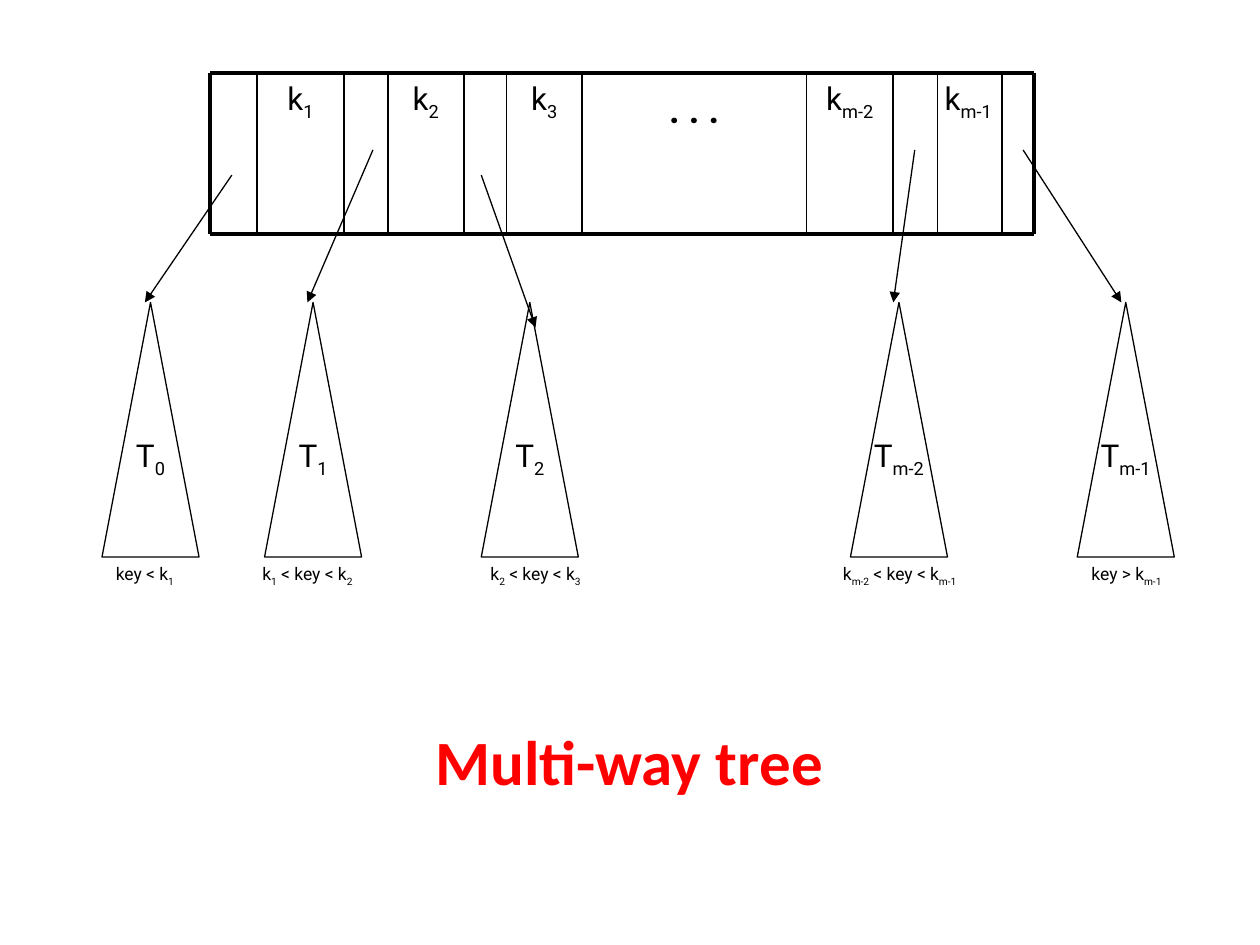
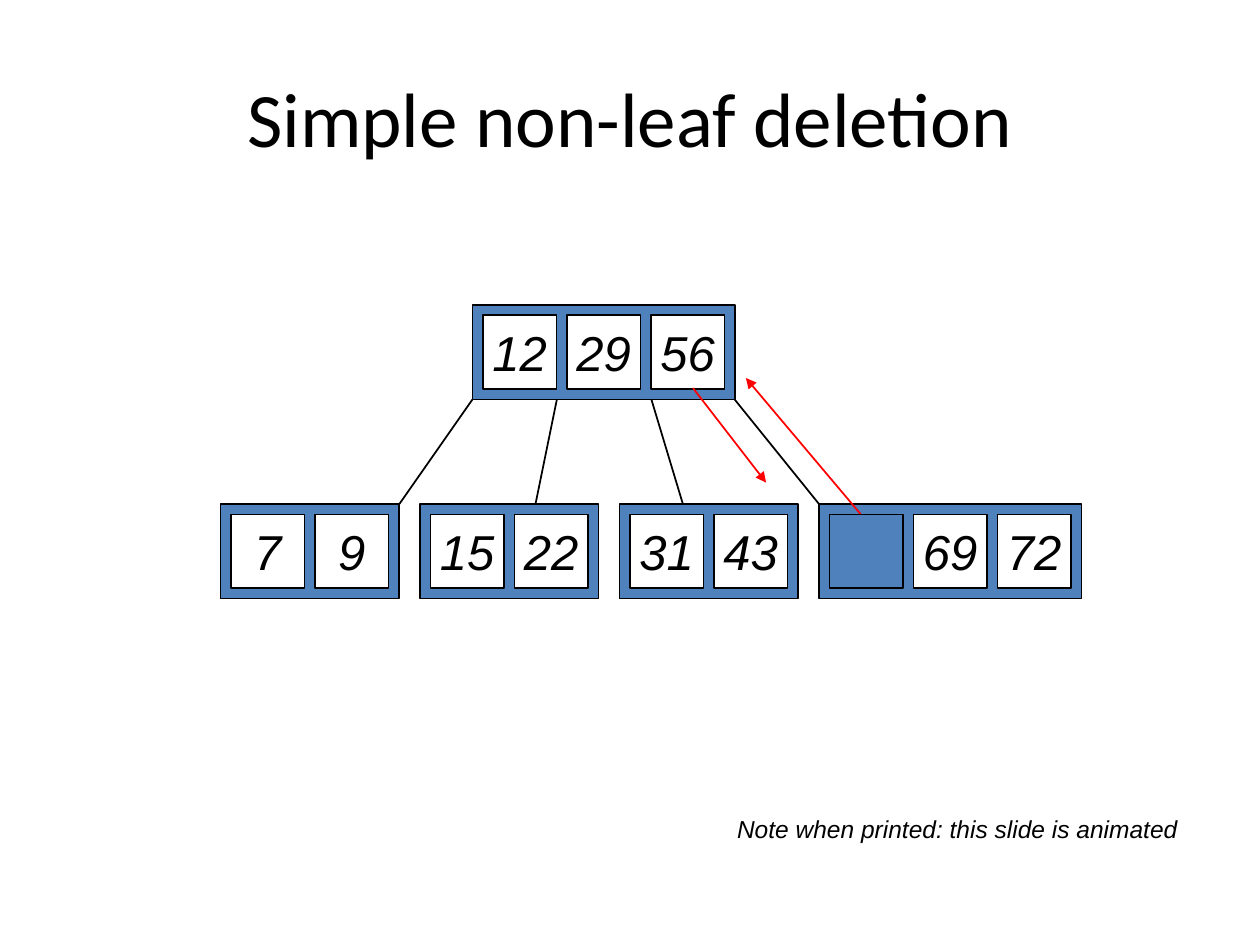
from dataclasses import dataclass
from itertools import accumulate
from typing import NamedTuple

from lxml.etree import SubElement
from pptx import Presentation
from pptx.dml.color import RGBColor
from pptx.enum.shapes import MSO_CONNECTOR, MSO_SHAPE
from pptx.enum.text import MSO_ANCHOR, PP_ALIGN
from pptx.oxml.ns import qn
from pptx.util import Inches, Pt


@dataclass(frozen=True)
class Theme:
    black: str = "000000"
    white: str = "FFFFFF"
    red: str = "FF0000"
    blue: str = "4F81BD"
    title_font: str = "Calibri"
    tree_font: str = "Roboto"
    node_font: str = "Arial"
    title_size: int = 44
    large_size: int = 36
    node_size: int = 28
    label_size: int = 18
    note_size: int = 14
    caption_size: int = 10
    thick_line: float = 2.25
    medium_line: float = 1
    thin_line: float = 0.75


class Subtree(NamedTuple):
    name: str
    left: float
    arrow_start: tuple
    arrow_end: tuple
    caption: str
    caption_left: float
    caption_width: float


THEME = Theme()

# Record on the first slide
RECORD_TOP, RECORD_BOTTOM = 0.58, 1.86
RECORD_EDGES = (1.67, 2.04, 2.73, 3.08, 3.68, 4.02, 4.62, 6.4, 7.09, 7.44, 7.95, 8.21)
KEY_CELLS = {1: "k|1|", 3: "k|2|", 5: "k|3|", 7: "k|m-2|"}
DOTS_CELL = 6
TREE_TOP, TREE_WIDTH, TREE_HEIGHT = 2.4, 0.77, 2.02
SUBTREES = (
    Subtree("T|0|", 0.81, (1.84, 1.39), (1.15, 2.4), "key < k|1|", 0.55, 1.2),
    Subtree("T|1|", 2.1, (2.96, 1.19), (2.44, 2.4), "k|1| < key < k|2|", 1.84, 1.2),
    Subtree("T|2|", 3.82, (3.82, 1.39), (4.25, 2.6), "k|2| < key < k|3|", 3.65, 1.2),
    Subtree("T|m-2|", 6.75, (7.26, 1.19), (7.09, 2.4),
            "k|m-2| < key < k|m-1|", 6.32, 1.64),
    Subtree("T|m-1|", 8.55, (8.12, 1.19), (8.9, 2.4), "key > k|m-1|", 8.38, 1.12),
)

# Nodes on the second slide
CELL, GAP = 7 / 12, 1 / 12
NODE_HEIGHT = CELL + 2 * GAP
ROOT_LEFT, ROOT_TOP = 3.75, 2.42
LEAVES_LEFT, LEAVES_TOP = 1.75, 4
LEAVES = ((7, 9), (15, 22), (31, 43), (None, 69, 72))
BRANCHES = ((3.75, 3.17), (4.42, 4.25), (5.17, 5.42), (5.83, 6.5))


def write_text(frame, text, font=THEME.tree_font, size=THEME.label_size,
               color=THEME.black, bold=False, italic=False, baseline=0,
               anchor=MSO_ANCHOR.TOP, wrap=True):
    """Write one centred paragraph; parts between bars become subscripts."""
    frame.word_wrap = wrap
    frame.vertical_anchor = anchor
    paragraph = frame.paragraphs[0]
    paragraph.alignment = PP_ALIGN.CENTER
    for index, part in enumerate(text.split("|")):
        if not part:
            continue
        run = paragraph.add_run()
        run.text = part
        run.font.name = font
        run.font.size = Pt(size)
        run.font.bold = bold
        run.font.italic = italic
        run.font.color.rgb = RGBColor.from_string(color)
        shift = -25 if index % 2 else baseline
        if shift:
            run.font._element.set("baseline", str(shift * 1000))


def node_width(key_count):
    return key_count * (CELL + GAP) + GAP


class Deck:
    def __init__(self, theme):
        self.theme = theme
        self.presentation = Presentation()
        self.presentation.slide_width = Inches(10)
        self.presentation.slide_height = Inches(7.5)
        self.slide = None

    def new_slide(self):
        self.slide = self.presentation.slides.add_slide(
            self.presentation.slide_layouts[6])

    def text(self, text, left, top, width, height, **text_format):
        box = self.slide.shapes.add_textbox(
            Inches(left), Inches(top), Inches(width), Inches(height))
        write_text(box.text_frame, text, **text_format)

    def shape(self, kind, left, top, width, height, fill=None, line_width=None,
              text="", **text_format):
        shape = self.slide.shapes.add_shape(
            kind, Inches(left), Inches(top), Inches(width), Inches(height))
        shape.shadow.inherit = False
        if fill:
            shape.fill.solid()
            shape.fill.fore_color.rgb = RGBColor.from_string(fill)
        else:
            shape.fill.background()
        shape.line.color.rgb = RGBColor.from_string(self.theme.black)
        shape.line.width = Pt(line_width or self.theme.medium_line)
        if text:
            write_text(shape.text_frame, text, wrap=False, **text_format)

    def line(self, start, end, width=None, color=None, arrow=False):
        connector = self.slide.shapes.add_connector(
            MSO_CONNECTOR.STRAIGHT, *(Inches(value) for value in (*start, *end)))
        connector.line.color.rgb = RGBColor.from_string(color or self.theme.black)
        connector.line.width = Pt(width or self.theme.medium_line)
        properties = connector._element.spPr
        if arrow:
            SubElement(properties.find(qn("a:ln")), qn("a:tailEnd"), type="triangle")
        SubElement(properties, qn("a:effectLst"))

    def subtree(self, subtree):
        """Draw a triangle with its name, incoming arrow and key range."""
        thin = self.theme.thin_line
        self.shape(MSO_SHAPE.FLOWCHART_EXTRACT, subtree.left, TREE_TOP, TREE_WIDTH,
                   TREE_HEIGHT, line_width=thin, text=subtree.name)
        self.line(subtree.arrow_start, subtree.arrow_end, thin, arrow=True)
        self.text(subtree.caption, subtree.caption_left, TREE_TOP + TREE_HEIGHT,
                  subtree.caption_width, 0.29, size=self.theme.caption_size)

    def node(self, left, top, keys):
        """Draw a row of key cells; a key of None leaves an empty slot."""
        theme = self.theme
        self.shape(MSO_SHAPE.RECTANGLE, left, top, node_width(len(keys)),
                   NODE_HEIGHT, fill=theme.blue)
        for index, key in enumerate(keys):
            empty = key is None
            self.shape(MSO_SHAPE.RECTANGLE, left + GAP + index * (CELL + GAP),
                       top + GAP, CELL, CELL,
                       fill=theme.blue if empty else theme.white,
                       text="" if empty else str(key), font=theme.node_font,
                       size=theme.node_size, italic=True, anchor=MSO_ANCHOR.MIDDLE)


def build_multiway_tree(deck):
    theme = deck.theme
    deck.new_slide()
    height = RECORD_BOTTOM - RECORD_TOP
    cells = list(zip(RECORD_EDGES, RECORD_EDGES[1:]))
    for index, label in KEY_CELLS.items():
        left, right = cells[index]
        deck.text(label, left, RECORD_TOP, right - left, height)
    left, right = cells[DOTS_CELL]
    deck.text(". . .", left, RECORD_TOP, right - left, height,
              size=theme.large_size, bold=True, baseline=30)
    deck.text("k|m-1|", 7.35, RECORD_TOP, 0.67, 0.44)

    outer_edges = (RECORD_EDGES[0], RECORD_EDGES[-1])
    for y in (RECORD_TOP, RECORD_BOTTOM):
        deck.line((outer_edges[0], y), (outer_edges[1], y), theme.thick_line)
    for x in RECORD_EDGES:
        width = theme.thick_line if x in outer_edges else theme.medium_line
        deck.line((x, RECORD_TOP), (x, RECORD_BOTTOM), width)

    for subtree in SUBTREES:
        deck.subtree(subtree)
    deck.text("Multi-way tree ", 0.55, 5.63, 9, 0.75, font=theme.title_font,
              size=theme.large_size, color=theme.red, bold=True,
              anchor=MSO_ANCHOR.BOTTOM)


def build_nonleaf_deletion(deck):
    theme = deck.theme
    deck.new_slide()
    deck.text("Simple non-leaf deletion", 0.5, 0.3, 9, 1.25, font=theme.title_font,
              size=theme.title_size, anchor=MSO_ANCHOR.MIDDLE)
    deck.node(ROOT_LEFT, ROOT_TOP, (12, 29, 56))
    steps = (node_width(len(keys)) + 2 * GAP for keys in LEAVES)
    for left, keys in zip(accumulate(steps, initial=LEAVES_LEFT), LEAVES):
        deck.node(left, LEAVES_TOP, keys)
    for root_x, leaf_x in BRANCHES:
        deck.line((root_x, ROOT_TOP + NODE_HEIGHT), (leaf_x, LEAVES_TOP))
    for start, end in (((5.5, 3.08), (6.08, 3.83)), ((6.83, 4.08), (5.92, 3))):
        deck.line(start, end, color=theme.red, arrow=True)
    deck.text("Note when printed: this slide is animated", 5.75, 6.41, 3.7, 0.34,
              font=theme.node_font, size=theme.note_size, italic=True,
              anchor=MSO_ANCHOR.MIDDLE, wrap=False)


def main():
    deck = Deck(THEME)
    build_multiway_tree(deck)
    build_nonleaf_deletion(deck)
    deck.presentation.save("out.pptx")


if __name__ == "__main__":
    main()
